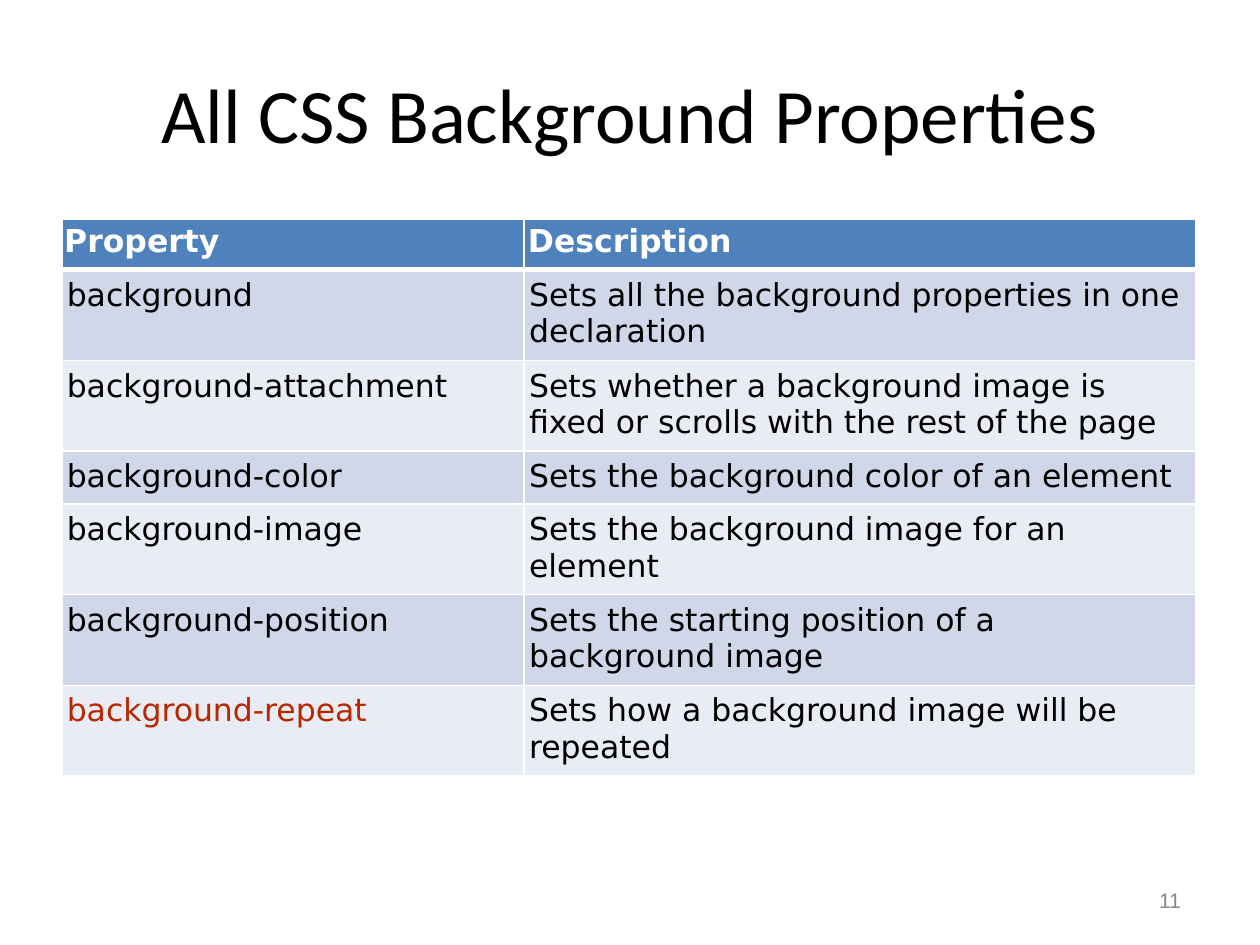
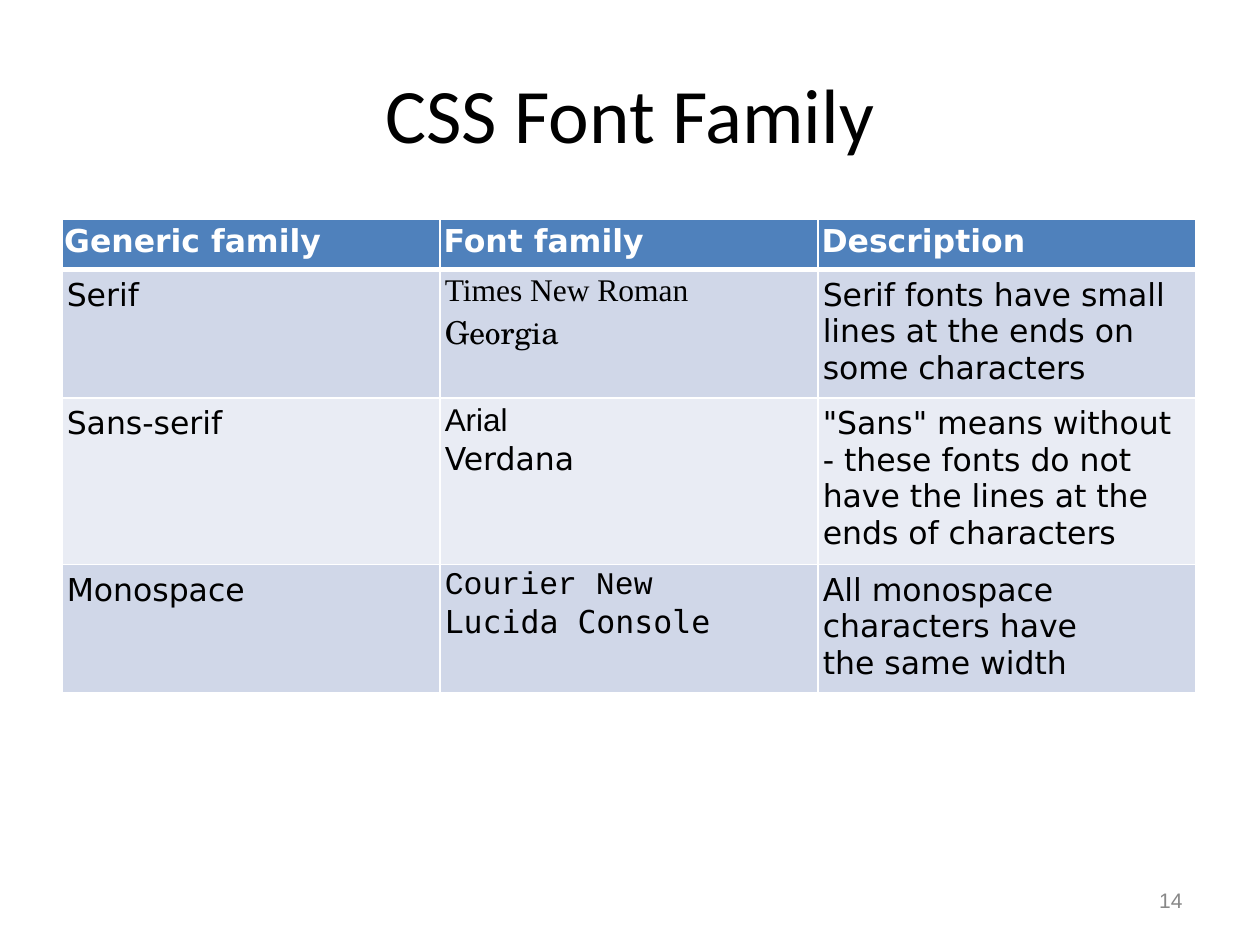
from lxml.etree import SubElement
from pptx import Presentation
from pptx.dml.color import RGBColor
from pptx.enum.text import MSO_ANCHOR as Anchor, PP_ALIGN as Align
from pptx.oxml.ns import qn
from pptx.util import Inches, Pt

WIDTH, HEIGHT = 10, 7.5
BLACK, WHITE, GREY, RED = "000000", "FFFFFF", "888888", "B72800"
HEADER, BANDS = "4F81BC", ("D0D7E8", "E9ECF4")
BODY_FONT = "DejaVu Sans"
TABLE_LEFT, TABLE_TOP, TABLE_WIDTH = 0.49, 1.74, 9
HEADER_HEIGHT, LINE_HEIGHT, ROW_PADDING = 0.4, 0.3, 0.12

PROPERTIES = [
    ["background", "Sets all the background properties in one\ndeclaration"],
    ["background-attachment",
     "Sets whether a background image is\nfixed or scrolls with the rest of the page"],
    ["background-color", "Sets the background color of an element"],
    ["background-image", "Sets the background image for an\nelement"],
    ["background-position", "Sets the starting position of a\nbackground image"],
    ["background-repeat", "Sets how a background image will be\nrepeated"],
]
FAMILIES = [
    ["Serif", "Times New Roman\nGeorgia",
     "Serif fonts have small\nlines at the ends on\nsome characters"],
    ["Sans-serif", "Arial\nVerdana",
     "\"Sans\" means without\n- these fonts do not\nhave the lines at the\nends of characters"],
    ["Monospace", "Courier New\nLucida Console",
     "All monospace\ncharacters have\nthe same width"],
]
SAMPLE_FONTS = {
    "Times New Roman": "Times New Roman",
    "Georgia": "TeX Gyre Schola",
    "Arial": "Arial",
    "Courier New": "Courier New",
    "Lucida Console": "DejaVu Sans Mono",
}
TOP_INSETS = {"Times New Roman": 0.03, "Arial": 0.04, "Courier New": 0.02}
SPACES_BEFORE = {"Georgia": 0.5, "Verdana": 1.8}
MONOSPACED = ("Courier New", "Lucida Console")


def color(value):
    return RGBColor.from_string(value)


def add_span(para, text, size, font, tint, bold=False):
    span = para.add_run()
    span.text = text
    span.font.size = Pt(size)
    span.font.name = font
    span.font.bold = bold
    span.font.color.rgb = color(tint)


def set_insets(target, left=0, top=0):
    target.margin_left, target.margin_top = Inches(left), Inches(top)
    target.margin_right = target.margin_bottom = 0


def add_label(page, text, area, size, font, tint, align):
    left, top, width, height = area
    box = page.shapes.add_textbox(Inches(left * WIDTH), Inches(top * HEIGHT),
                                  Inches(width * WIDTH), Inches(height * HEIGHT))
    frame = box.text_frame
    frame.word_wrap = True
    set_insets(frame)
    para = frame.paragraphs[0]
    para.alignment = align
    add_span(para, text, size, font, tint)
    return para


def add_borders(cell, top, bottom):
    properties = cell._tc.get_or_add_tcPr()
    for side, points in (("L", 1), ("R", 1), ("T", top), ("B", bottom)):
        line = SubElement(properties, qn(f"a:ln{side}"), w=str(Pt(points)))
        fill = SubElement(line, qn("a:solidFill"))
        SubElement(fill, qn("a:srgbClr"), val=WHITE)


def fill_cell(cell, tint, insets, top_border=1, bottom_border=1):
    add_borders(cell, top_border, bottom_border)
    cell.fill.solid()
    cell.fill.fore_color.rgb = color(tint)
    cell.vertical_anchor = Anchor.TOP
    set_insets(cell, *insets)


def write_lines(cell, lines, tint):
    frame = cell.text_frame
    for index, text in enumerate(lines):
        para = frame.add_paragraph() if index else frame.paragraphs[0]
        if text in SPACES_BEFORE:
            para.space_before = Pt(SPACES_BEFORE[text])
        if text in MONOSPACED:
            para.line_spacing = Pt(21.2)
        add_span(para, text, 18, SAMPLE_FONTS.get(text, BODY_FONT), tint)


def add_grid(page, headings, rows, widths, accents=()):
    heights = [HEADER_HEIGHT] + [
        ROW_PADDING + LINE_HEIGHT * max(len(text.split("\n")) for text in row)
        for row in rows]
    table = page.shapes.add_table(
        len(heights), len(widths), Inches(TABLE_LEFT), Inches(TABLE_TOP),
        Inches(TABLE_WIDTH), Inches(sum(heights))).table
    for column, width in zip(table.columns, widths):
        column.width = Inches(width)
    for row, height in zip(table.rows, heights):
        row.height = Inches(height)
    for column, heading in enumerate(headings):
        cell = table.cell(0, column)
        fill_cell(cell, HEADER, (0.03 if column else 0.02, 0.03), bottom_border=3)
        add_span(cell.text_frame.paragraphs[0], heading, 18, BODY_FONT, WHITE, True)
    for index, row in enumerate(rows):
        for column, text in enumerate(row):
            cell = table.cell(index + 1, column)
            lines = text.split("\n")
            fill_cell(cell, BANDS[index % 2], (0.04, TOP_INSETS.get(lines[0], 0.06)),
                      top_border=1 if index else 3)
            write_lines(cell, lines, RED if text in accents else BLACK)


def add_page(deck, title, number):
    page = deck.slides.add_slide(deck.slide_layouts[6])
    add_label(page, title, (0.08, 0.07, 0.84, 0.1), 44, "Calibri", BLACK, Align.CENTER)
    para = add_label(page, number, (0.92, 0.94, 0.03, 0.03), 12, "Arial", GREY, Align.LEFT)
    para.line_spacing = Pt(14.2)
    return page


def main():
    deck = Presentation()
    deck.slide_width, deck.slide_height = Inches(WIDTH), Inches(HEIGHT)
    page = add_page(deck, "All CSS Background Properties", "11")
    add_grid(page, ["Property", "Description"], PROPERTIES, [3.67, 5.33],
             accents=["background-repeat"])
    page = add_page(deck, "CSS Font Family", "14")
    add_grid(page, ["Generic family", "Font family", "Description"], FAMILIES,
             [TABLE_WIDTH / 3] * 3)
    deck.save("out.pptx")


if __name__ == "__main__":
    main()
